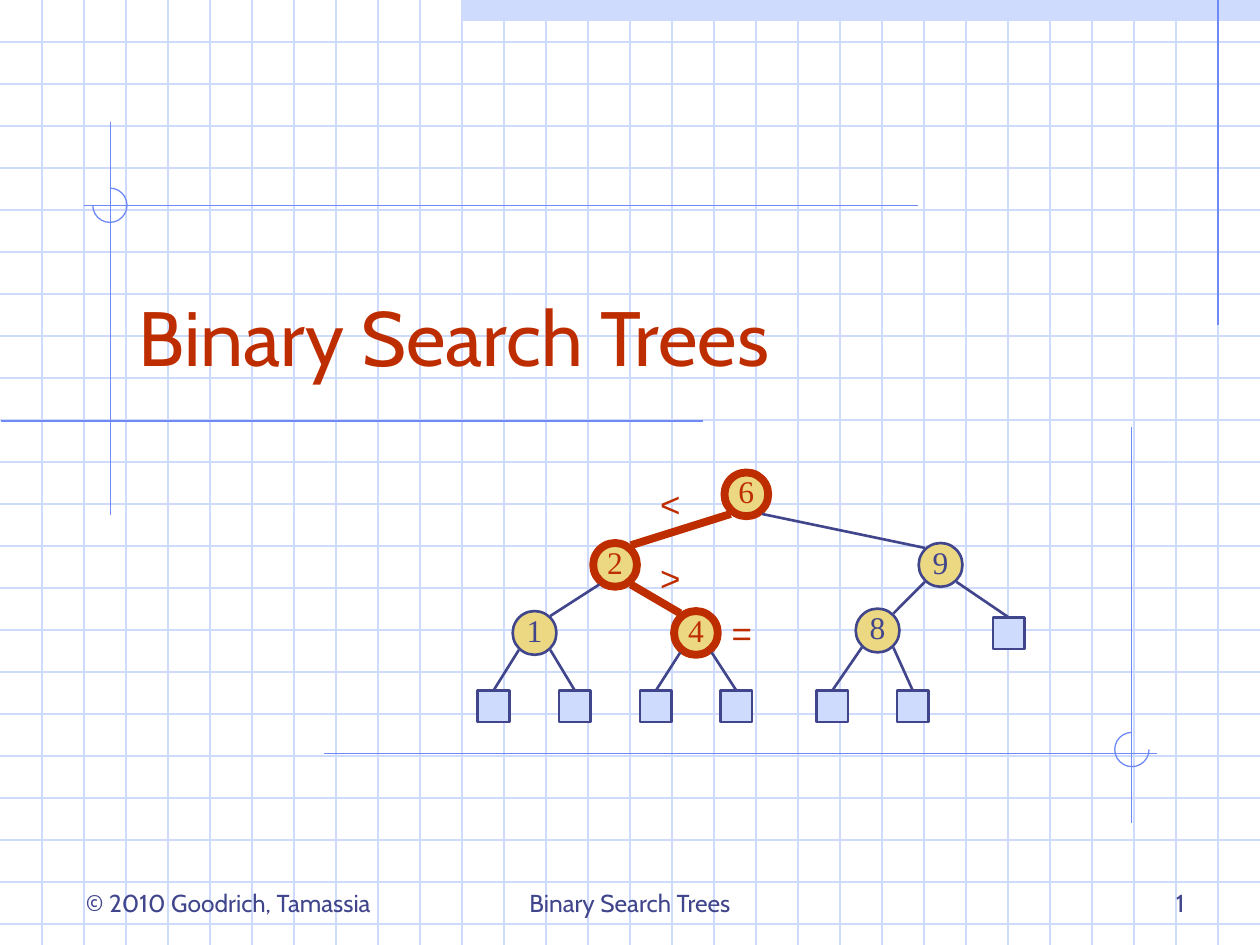
from lxml import etree
from pptx import Presentation
from pptx.dml.color import RGBColor
from pptx.enum import shapes, text
from pptx.oxml import ns
from pptx.util import Pt

WIDTH, HEIGHT, GRID_STEP = 720, 540, 24
PALE = RGBColor(0xCF, 0xDB, 0xFD)
BLUE = RGBColor(0x6F, 0x89, 0xF7)
NAVY = RGBColor(0x40, 0x45, 0x8C)
RED = RGBColor(0xBE, 0x2D, 0x00)
GOLD = RGBColor(0xEC, 0xD8, 0x82)
WHITE = RGBColor(0xFF, 0xFF, 0xFF)

NODE, LEAF = 25, 18
THIN, THICK = 1.5, 4.5
NODES = {
    "6": (141, 0), "2": (66, 40.3), "9": (252, 40.3),
    "1": (20, 79.2), "4": (112.2, 79.2), "8": (216, 77.8),
}
LEAVES = {
    "1 left": (0, 124.6), "1 right": (46.5, 124.6),
    "4 left": (92.8, 124.6), "4 right": (138.8, 124.6),
    "8 left": (193.6, 124.6), "8 right": (239.6, 124.6),
    "9 right": (294.4, 82.8),
}
CHILDREN = {
    "6": ("2", "9"), "2": ("1", "4"), "9": ("8", "9 right"),
    "1": ("1 left", "1 right"), "4": ("4 left", "4 right"),
    "8": ("8 left", "8 right"),
}
SEARCH_PATH = ("6", "2", "4")
COMPARISONS = (("<", 97, 2.2, 26), (">", 97, 44.6, 26), ("=", 136, 75.6, 30))


def add_line(page, start, end, color, weight):
    """Draw a straight line between two points."""
    line = page.shapes.add_connector(
        shapes.MSO_CONNECTOR.STRAIGHT, *map(Pt, (*start, *end)))
    line.line.color.rgb = color
    line.line.width = Pt(weight)
    etree.SubElement(line.element.spPr, ns.qn("a:effectLst"))


def add_figure(page, kind, box, fill, color=None, weight=0.75):
    """Add a preset shape with an optional fill and outline."""
    figure = page.shapes.add_shape(kind, *map(Pt, box))
    figure.shadow.inherit = False
    if fill is None:
        figure.fill.background()
    else:
        figure.fill.solid()
        figure.fill.fore_color.rgb = fill
    if color is None:
        figure.line.fill.background()
    else:
        figure.line.color.rgb = color
        figure.line.width = Pt(weight)
    return figure


def write(shape, words, font, size, color, align, anchor, wrap=True):
    """Put one formatted paragraph in a shape."""
    frame = shape.text_frame
    frame.text = words
    frame.word_wrap = wrap
    frame.auto_size = text.MSO_AUTO_SIZE.NONE
    frame.vertical_anchor = anchor
    para = frame.paragraphs[0]
    para.alignment = align
    span = para.runs[0].font
    span.name, span.size, span.color.rgb = font, Pt(size), color


def add_backdrop(page, left, top, width, height):
    """Draw the squared paper, the top band and the blue rules with arcs."""
    add_figure(page, shapes.MSO_SHAPE.RECTANGLE,
               (left + 264, top, width - 264, 12), PALE)
    for y in range(top + GRID_STEP, top + height, GRID_STEP):
        add_line(page, (left, y), (left + width, y), PALE, 0.75)
    for x in range(left + GRID_STEP, left + width, GRID_STEP):
        add_line(page, (x, top), (x, top + height), PALE, 0.75)
    rules = (
        (696, 0, 696, 186), (63.2, 70, 63.2, 294.5),
        (0.5, 240.5, 401.8, 240.5), (48, 117.3, 524.3, 117.3),
        (185, 430.4, 661, 430.4), (646.6, 244, 646.6, 470.4),
    )
    for x1, y1, x2, y2 in rules:
        add_line(page, (left + x1, top + y1), (left + x2, top + y2), BLUE, 0.75)
    for x, y, start, sweep_end in ((53, 107.5, 270, 180), (637, 418.5, 0, 270)):
        arc = add_figure(page, shapes.MSO_SHAPE.ARC,
                         (left + x, top + y, 19.6, 19.6), None, BLUE)
        arc.adjustments[0] = start * 0.6
        arc.adjustments[1] = sweep_end * 0.6


def add_title(page, left, top, width, height):
    """Place the title placeholder in front of the squared paper."""
    title = page.shapes.title
    title.left, title.top, title.width, title.height = map(
        Pt, (left, top, width, height))
    title.element.getparent().append(title.element)
    write(title, "Binary Search Trees", "Cabin", 44, RED,
          text.PP_ALIGN.LEFT, text.MSO_ANCHOR.BOTTOM)


def add_tree(page, left, top):
    """Draw the search tree with its highlighted path and comparisons."""
    for key, (x, y) in NODES.items():
        found = key in SEARCH_PATH
        color = RED if found else NAVY
        node = add_figure(page, shapes.MSO_SHAPE.OVAL,
                          (left + x, top + y, NODE, NODE), GOLD, color,
                          THICK if found else THIN)
        frame = node.text_frame
        frame.margin_left = frame.margin_right = frame.margin_top = 0
        frame.margin_bottom = Pt(3.6)
        write(node, key, "Times New Roman", 18, color,
              text.PP_ALIGN.CENTER, text.MSO_ANCHOR.MIDDLE, False)
    for x, y in LEAVES.values():
        add_figure(page, shapes.MSO_SHAPE.RECTANGLE,
                   (left + x, top + y, LEAF, LEAF), PALE, NAVY, THIN)

    def joint(key, across, down):
        """Return the point where an edge meets a node or a leaf."""
        if key in LEAVES:
            x, y = LEAVES[key]
            return left + x + LEAF / 2, top + y
        x, y = NODES[key]
        reach = 11.2 if key in SEARCH_PATH else 9.7
        return left + x + NODE / 2 + 9 * across, top + y + NODE / 2 + reach * down

    for parent, pair in CHILDREN.items():
        for side, child in zip((-1, 1), pair):
            found = child in SEARCH_PATH
            add_line(page, joint(parent, side, 1), joint(child, -side, -1),
                     RED if found else NAVY, THICK if found else THIN)
    for sign, x, y, width in COMPARISONS:
        box = page.shapes.add_textbox(
            Pt(left + x), Pt(top + y), Pt(width), Pt(31.5))
        write(box, sign, "Arial", 20, RED,
              text.PP_ALIGN.CENTER, text.MSO_ANCHOR.TOP, False)


def add_footer(page, left, top, height):
    """Write the copyright line, the running title and the page number."""
    parts = (
        ("© 2010 Goodrich, Tamassia", 0, 192, text.PP_ALIGN.LEFT),
        ("Binary Search Trees", 204, 228, text.PP_ALIGN.CENTER),
        ("1", 474, 168, text.PP_ALIGN.RIGHT),
    )
    for words, x, width, align in parts:
        box = page.shapes.add_textbox(
            Pt(left + x), Pt(top), Pt(width), Pt(height))
        write(box, words, "Cabin", 14, NAVY, align, text.MSO_ANCHOR.BOTTOM)


def main():
    """Build the title slide and save the deck."""
    deck = Presentation()
    deck.slide_width, deck.slide_height = Pt(WIDTH), Pt(HEIGHT)
    page = deck.slides.add_slide(deck.slide_layouts[5])
    page.background.fill.solid()
    page.background.fill.fore_color.rgb = WHITE
    add_backdrop(page, 0, 0, WIDTH, HEIGHT)
    add_title(page, 72, 132, 612, 90)
    add_tree(page, 273, 270)
    add_footer(page, 42, 492, 36)
    deck.save("out.pptx")


if __name__ == "__main__":
    main()
